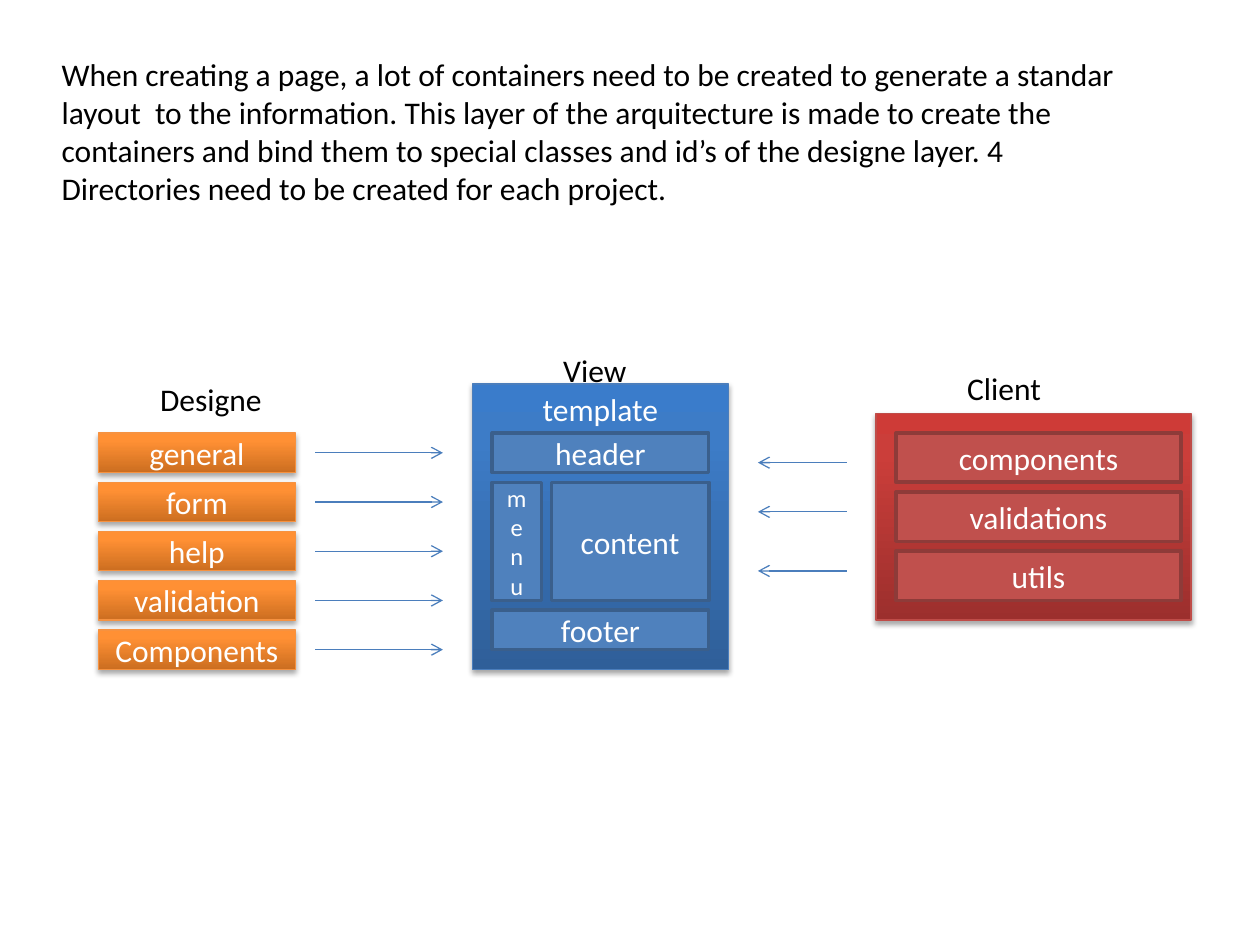
from copy import deepcopy

from lxml.etree import SubElement
from pptx import Presentation
from pptx.dml.color import RGBColor
from pptx.enum.shapes import MSO_CONNECTOR, MSO_SHAPE
from pptx.enum.text import MSO_ANCHOR, MSO_AUTO_SIZE, PP_ALIGN
from pptx.oxml.ns import qn
from pptx.util import Pt

FONT = "Calibri"
BLACK = RGBColor(0x00, 0x00, 0x00)
WHITE = RGBColor(0xFF, 0xFF, 0xFF)
ARROW_BLUE = RGBColor(0x4B, 0x7E, 0xBC)
PART_BLUE, PART_BLUE_EDGE = RGBColor(0x4F, 0x81, 0xBD), RGBColor(0x3A, 0x5F, 0x8C)
PART_RED, PART_RED_EDGE = RGBColor(0xC0, 0x50, 0x4D), RGBColor(0x8E, 0x3B, 0x39)

# Gradient colours from bottom to top, then the edge colour
ORANGE = [RGBColor(0xCC, 0x6E, 0x20), RGBColor(0xFF, 0x90, 0x34),
          RGBColor(0xFF, 0x91, 0x36), RGBColor(0xF6, 0x92, 0x40)]
BLUE = [RGBColor(0x2F, 0x5F, 0x99), RGBColor(0x3D, 0x7C, 0xC7),
        RGBColor(0x3A, 0x7C, 0xCB), ARROW_BLUE]
RED = [RGBColor(0x9C, 0x2F, 0x2D), RGBColor(0xCB, 0x3E, 0x3A),
       RGBColor(0xCE, 0x3B, 0x37), RGBColor(0xBF, 0x4C, 0x48)]
GRADIENT_POSITIONS = (0, 0.8, 1)

# Content
INTRO = ("When creating a page, a lot of containers need to be created to generate "
         "a standar  layout  to the information. This layer of the arquitecture is "
         "made to create the containers and bind them to special classes and id’s of "
         "the designe layer. 4 Directories need to be created for each project.")
HEADINGS = [  # text, left, top, width
    ("Designe", 84.4, 213.75, 73.3),
    ("Client", 545.6, 207.4, 56.9),
    ("View", 314.75, 196.9, 51),
]
DESIGN_PARTS = ["general", "form", "help", "validation", "Components"]
VIEW_PARTS = [  # text, left, top, width, height, text size
    ("header", 281.25, 247.5, 123.75, 22.5, 18),
    ("footer", 281.25, 348.75, 123.75, 22.5, 18),
    ("menu", 281.25, 275.62, 28.12, 67.5, 14),
    ("content", 315, 275.62, 90, 67.5, 18),
]
CLIENT_PARTS = ["components", "validations", "utils"]
CLIENT_ARROW_HEIGHTS = [264.38, 292.5, 326.25]

# Layout
ROWS_TOP = 247.5
DESIGN_LEFT, DESIGN_WIDTH, DESIGN_HEIGHT, DESIGN_PITCH = 56.25, 112.5, 22.5, 28.12
CLIENT_LEFT, CLIENT_WIDTH, CLIENT_HEIGHT, CLIENT_PITCH = 511.88, 163.12, 28.12, 33.75


def add_text(frame, text, color, size=18):
    run = frame.paragraphs[0].add_run()
    run.text = text
    run.font.name = FONT
    run.font.size = Pt(size)
    run.font.color.rgb = color


def add_text_box(slide, text, left, top, width, height, wrap):
    box = slide.shapes.add_textbox(Pt(left), Pt(top), Pt(width), Pt(height))
    frame = box.text_frame
    frame.word_wrap = wrap
    frame.auto_size = MSO_AUTO_SIZE.SHAPE_TO_FIT_TEXT
    add_text(frame, text, BLACK)


def add_box(slide, kind, text, left, top, width, height, edge, edge_width,
            size=18, anchor=MSO_ANCHOR.MIDDLE):
    shape = slide.shapes.add_shape(kind, Pt(left), Pt(top), Pt(width), Pt(height))
    shape.shadow.inherit = False
    shape.line.color.rgb = edge
    shape.line.width = Pt(edge_width)
    if text:
        shape.text_frame.vertical_anchor = anchor
        shape.text_frame.paragraphs[0].alignment = PP_ALIGN.CENTER
        add_text(shape.text_frame, text, WHITE, size)
    return shape


def add_flat_box(slide, kind, text, left, top, width, height, fill, edge, size=18):
    shape = add_box(slide, kind, text, left, top, width, height, edge, 2, size)
    shape.fill.solid()
    shape.fill.fore_color.rgb = fill


def add_glossy_box(slide, text, left, top, width, height, palette,
                   anchor=MSO_ANCHOR.MIDDLE):
    *colors, edge = palette
    shape = add_box(slide, MSO_SHAPE.RECTANGLE, text, left, top, width, height,
                    edge, 0.75, anchor=anchor)
    # Three-stop gradient running upwards
    shape.fill.gradient()
    shape.fill.gradient_angle = 90
    properties = shape.element.spPr
    stop_list = properties.find(qn("a:gradFill")).find(qn("a:gsLst"))
    stop_list.append(deepcopy(stop_list[0]))
    for stop, position, color in zip(shape.fill.gradient_stops, GRADIENT_POSITIONS, colors):
        stop.position = position
        stop.color.rgb = color
    # Soft shadow below
    shadow = SubElement(properties.find(qn("a:effectLst")), qn("a:outerShdw"),
                        blurRad=str(Pt(3.1)), dist=str(Pt(1.8)), dir="5400000",
                        rotWithShape="0")
    shadow_color = SubElement(shadow, qn("a:srgbClr"), val="000000")
    SubElement(shadow_color, qn("a:alpha"), val="35000")


def add_arrow(slide, start, end, height):
    arrow = slide.shapes.add_connector(
        MSO_CONNECTOR.STRAIGHT, Pt(start), Pt(height), Pt(end), Pt(height))
    arrow.line.color.rgb = ARROW_BLUE
    arrow.line.width = Pt(0.75)
    SubElement(arrow.line._get_or_add_ln(), qn("a:tailEnd"), type="arrow")
    SubElement(arrow._element.spPr, qn("a:effectLst"))


def main():
    presentation = Presentation()
    presentation.slide_width, presentation.slide_height = Pt(720), Pt(540)
    slide = presentation.slides.add_slide(presentation.slide_layouts[6])

    # Introduction
    add_text_box(slide, INTRO, 28.12, 28.12, 624.4, 94.5, True)

    # Large panels and column headings
    add_glossy_box(slide, "template", 270, 219.38, 146.25, 163.12, BLUE, MSO_ANCHOR.TOP)
    add_glossy_box(slide, "", 500.62, 236.25, 180, 118.12, RED)
    for text, left, top, width in HEADINGS:
        add_text_box(slide, text, left, top, width, 29, False)

    # Design column with its arrows
    for row, text in enumerate(DESIGN_PARTS):
        top = ROWS_TOP + row * DESIGN_PITCH
        add_glossy_box(slide, text, DESIGN_LEFT, top, DESIGN_WIDTH, DESIGN_HEIGHT, ORANGE)
        add_arrow(slide, 180, 253.12, top + DESIGN_HEIGHT / 2)

    # Parts of the view template
    for text, left, top, width, height, size in VIEW_PARTS:
        add_flat_box(slide, MSO_SHAPE.FLOWCHART_PROCESS, text, left, top, width, height,
                     PART_BLUE, PART_BLUE_EDGE, size)

    # Client column with its arrows
    for row, text in enumerate(CLIENT_PARTS):
        add_flat_box(slide, MSO_SHAPE.RECTANGLE, text, CLIENT_LEFT,
                     ROWS_TOP + row * CLIENT_PITCH, CLIENT_WIDTH, CLIENT_HEIGHT,
                     PART_RED, PART_RED_EDGE)
    for height in CLIENT_ARROW_HEIGHTS:
        add_arrow(slide, 483.75, 433.12, height)

    presentation.save("out.pptx")


if __name__ == "__main__":
    main()
